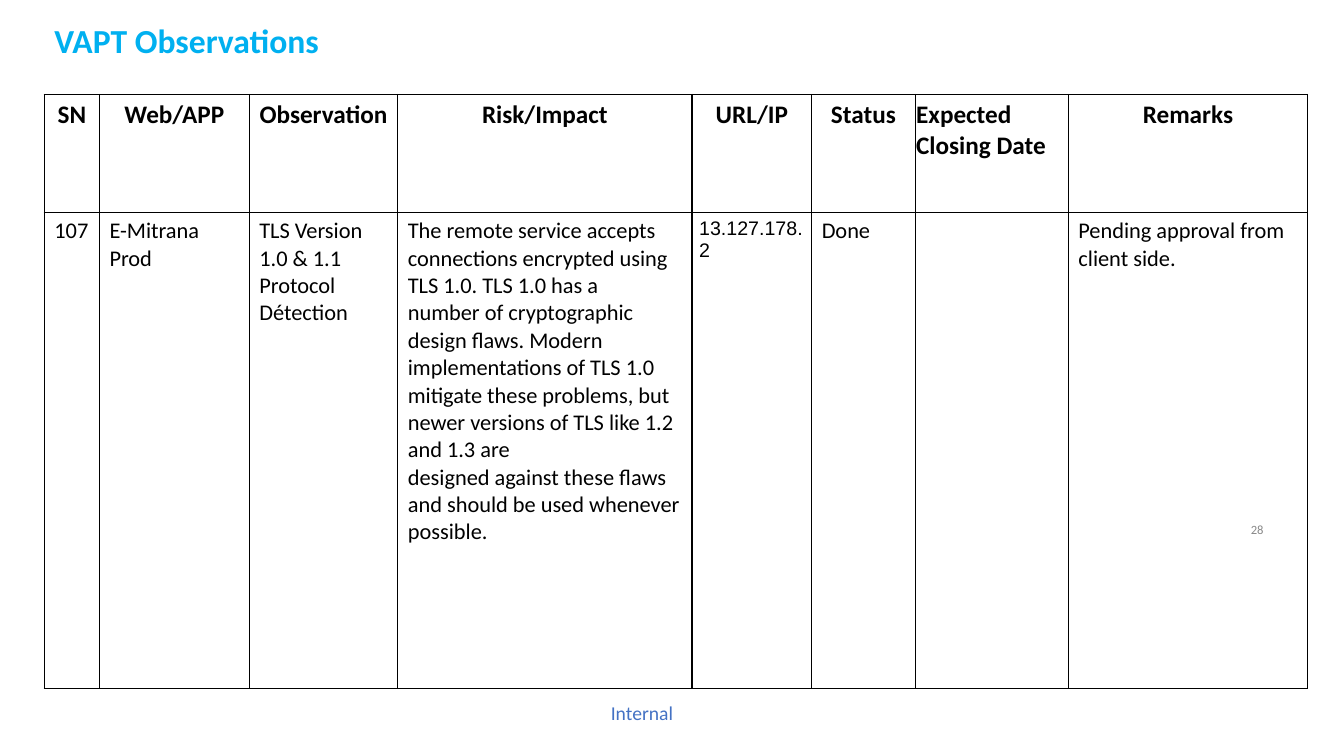
"""Builds the VAPT observations slide with its findings table."""
import dataclasses

import pptx
import pptx.dml.color
import pptx.enum.text
import pptx.oxml
import pptx.oxml.ns
import pptx.util

ALIGN = pptx.enum.text.PP_ALIGN
ANCHOR = pptx.enum.text.MSO_ANCHOR
FIT = pptx.enum.text.MSO_AUTO_SIZE


def tint(code):
    return pptx.dml.color.RGBColor.from_string(code)


@dataclasses.dataclass(frozen=True)
class Theme:
    face: str = "Calibri"
    alt: str = "Arial"
    ink: str = "000000"
    paper: str = "FFFFFF"
    head: str = "00B0F0"
    mark: str = "4472C4"
    mute: str = "888888"
    title: int = 24
    label: int = 18
    body: int = 16
    note: int = 14
    small: int = 9
    rule: float = 0.96


class Deck:
    def __init__(self, theme):
        self.theme = theme
        self.file = pptx.Presentation()
        self.file.slide_width = pptx.util.Inches(13.33)
        self.file.slide_height = pptx.util.Inches(7.5)
        self.slide = self.file.slides.add_slide(self.file.slide_layouts[5])

    def wide(self, share):
        return round(self.file.slide_width * share / 100)

    def high(self, share):
        return round(self.file.slide_height * share / 100)

    def area(self, left, top, width, height):
        return self.wide(left), self.high(top), self.wide(width), self.high(height)

    def label(self, frame, text, size, color, face=None, bold=False, **form):
        frame.text = text
        frame.word_wrap = True
        para = frame.paragraphs[0]
        for name, value in form.items():
            setattr(para, name, value)
        font = {"name": face or self.theme.face, "size": pptx.util.Pt(size), "bold": bold}
        for run in para.runs:
            for name, value in font.items():
                setattr(run.font, name, value)
            run.font.color.rgb = tint(color)

    def title(self, text, box):
        shape = self.slide.shapes.title
        for name, value in zip(("left", "top", "width", "height"), self.area(*box)):
            setattr(shape, name, value)
        shape.fill.solid()
        shape.fill.fore_color.rgb = tint(self.theme.paper)
        self.label(shape.text_frame, text, self.theme.title, self.theme.head,
                   bold=True, alignment=ALIGN.LEFT)
        shape.text_frame.auto_size = FIT.NONE
        shape.text_frame.vertical_anchor = ANCHOR.MIDDLE

    def text(self, text, box, size, color, anchor=ANCHOR.TOP, **form):
        frame = self.slide.shapes.add_textbox(*self.area(*box)).text_frame
        self.label(frame, text, size, color, **form)
        frame.vertical_anchor = anchor

    def frame(self, cell):
        props = cell._tc.get_or_add_tcPr()
        width = pptx.util.Pt(self.theme.rule)
        space = pptx.oxml.ns.nsdecls("a")
        for spot, side in enumerate("LRTB"):
            props.insert(spot, pptx.oxml.parse_xml(
                f'<a:ln{side} {space} w="{width}"><a:solidFill>'
                f'<a:srgbClr val="{self.theme.ink}"/></a:solidFill></a:ln{side}>'))

    def cell(self, cell, text, inset, size, **form):
        cell.fill.solid()
        cell.fill.fore_color.rgb = tint(self.theme.paper)
        cell.margin_left = cell.margin_right = pptx.util.Inches(inset)
        self.label(cell.text_frame, text, size, self.theme.ink, **form)
        self.frame(cell)

    def table(self, left, top, cols, rows, heads, facts):
        box = self.area(left, top, sum(cols), sum(rows))
        grid = self.slide.shapes.add_table(len(rows), len(cols), *box).table
        grid.first_row = grid.horz_banding = False
        for col, share in zip(grid.columns, cols):
            col.width = self.wide(share)
        for row, share in zip(grid.rows, rows):
            row.height = self.high(share)
        for col, (head, fact) in enumerate(zip(heads, facts)):
            side = ALIGN.LEFT if head.startswith("Expected") else ALIGN.CENTER
            self.cell(grid.cell(0, col), head, 0.01, self.theme.label,
                      bold=True, alignment=side)
            look = {"inset": 0.1, "size": self.theme.body}
            if head == "URL/IP":
                look = {"inset": 0.07, "size": self.theme.note, "face": self.theme.alt}
            self.cell(grid.cell(1, col), fact, **look)


HEADS = ("SN", "Web/APP", "Observation", "Risk/Impact", "URL/IP", "Status",
         "Expected Closing Date", "Remarks")
RISK = "\v".join((
    "The remote service accepts connections encrypted using TLS 1.0. TLS 1.0 has a",
    "number of cryptographic design flaws. Modern implementations of TLS 1.0",
    "mitigate these problems, but newer versions of TLS like 1.2 and 1.3 are",
    "designed against these flaws and should be used whenever possible."))
FACTS = ("107", "E-Mitrana Prod", "TLS Version 1.0 & 1.1 Protocol Détection", RISK,
         "13.127.178.2", "Done", "", "Pending approval from client side.")


def main():
    theme = Theme()
    deck = Deck(theme)
    deck.title("VAPT Observations", (3.3, 1.87, 81.55, 6.8))
    deck.table(3.3, 12.5, (4.1, 11.15, 11.05, 21.9, 8.9, 7.7, 11.4, 17.8),
               (15.6, 62.93), HEADS, FACTS)
    deck.text("28", (90.25, 68.53, 4.5, 3.2), theme.small, theme.mute,
              anchor=ANCHOR.MIDDLE, alignment=ALIGN.RIGHT, line_spacing=0.9)
    deck.text("Internal", (44.5, 92, 6.53, 7.47), theme.note, theme.mark,
              alignment=ALIGN.CENTER)
    deck.file.save("out.pptx")


if __name__ == "__main__":
    main()
